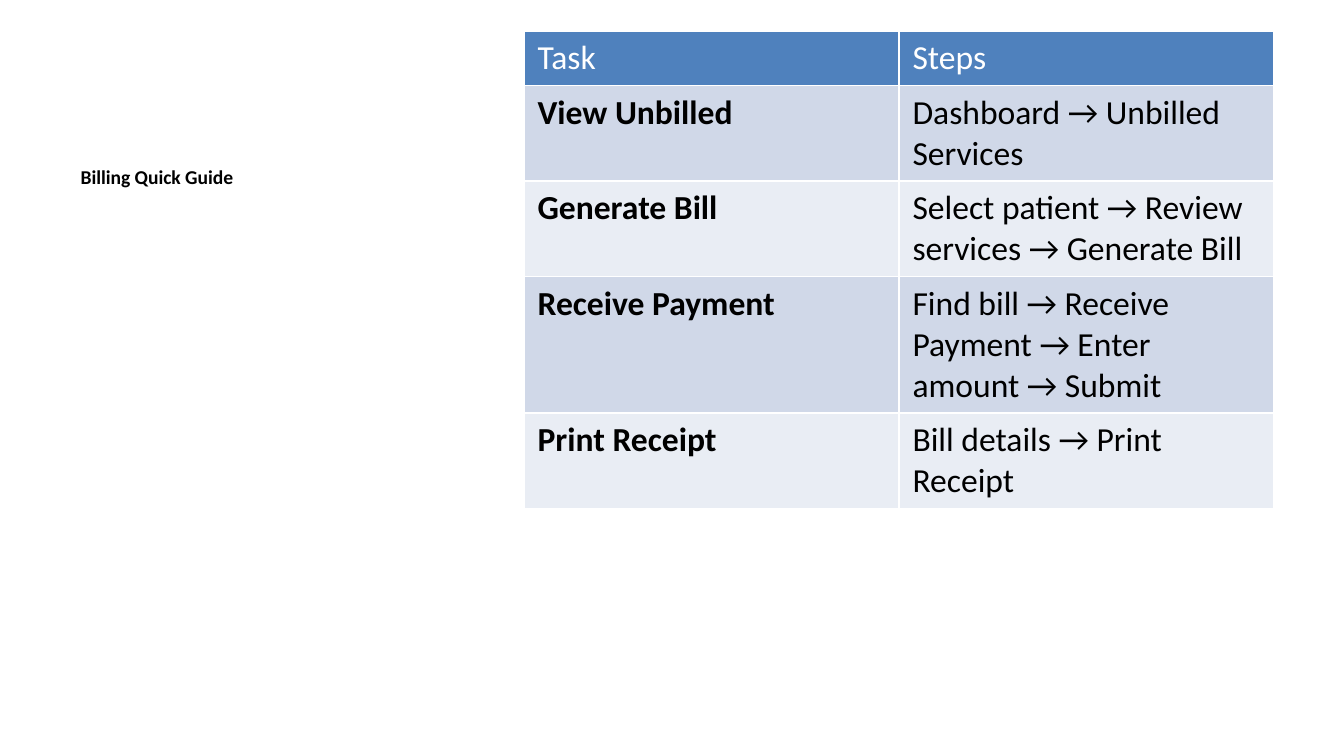
import pptx
import pptx.dml.color
import pptx.enum.text
import pptx.oxml
import pptx.oxml.ns
import pptx.util
from pptx.util import Inches

COLORS = {
    "header": "4F81BD",
    "band_dark": "D0D8E8",
    "band_light": "E9EDF4",
    "rule": "FFFFFF",
    "header_text": "FFFFFF",
    "text": "000000",
}
GUIDE = [
    ("Task", "Steps"),
    ("View Unbilled", "Dashboard → Unbilled Services"),
    ("Generate Bill", "Select patient → Review services → Generate Bill"),
    ("Receive Payment", "Find bill → Receive Payment → Enter amount → Submit"),
    ("Print Receipt", "Bill details → Print Receipt"),
]
ROW_HEIGHTS = [0.4, 0.71, 0.71, 1.01, 0.71]


def rgb(name):
    """Return the named palette colour."""
    return pptx.dml.color.RGBColor.from_string(COLORS[name])


def write_text(frame, text, size=18, color="text", bold=False):
    """Fill a text frame with one left-aligned, formatted paragraph."""
    paragraph = frame.paragraphs[0]
    paragraph.alignment = pptx.enum.text.PP_ALIGN.LEFT
    run = paragraph.add_run()
    run.text = text
    run.font.name = "Calibri"
    run.font.size = pptx.util.Pt(size)
    run.font.bold = bold
    run.font.color.rgb = rgb(color)


def format_cell(cell, fill):
    """Give a cell thin white rules and a solid fill."""
    properties = cell._tc.get_or_add_tcPr()
    for side in "LRTB":
        properties.append(pptx.oxml.parse_xml(
            f'<a:ln{side} {pptx.oxml.ns.nsdecls("a")} w="{pptx.util.Pt(1)}">'
            f'<a:solidFill><a:srgbClr val="{COLORS["rule"]}"/></a:solidFill>'
            f'</a:ln{side}>'))
    cell.fill.solid()
    cell.fill.fore_color.rgb = rgb(fill)


def place_title(slide, left, top, width, height):
    """Place the guide's title at the top left of its box."""
    title = slide.shapes.title
    title.left, title.top = Inches(left), Inches(top)
    title.width, title.height = Inches(width), Inches(height)
    frame = title.text_frame
    frame.word_wrap = True
    frame.auto_size = pptx.enum.text.MSO_AUTO_SIZE.NONE
    frame.vertical_anchor = pptx.enum.text.MSO_ANCHOR.TOP
    write_text(frame, "Billing Quick Guide", size=10.5, bold=True)


def place_guide(slide, left, top, width):
    """Place the table of billing tasks and their steps."""
    guide = slide.shapes.add_table(
        len(GUIDE), len(GUIDE[0]), Inches(left), Inches(top),
        Inches(width), Inches(sum(ROW_HEIGHTS))).table
    for row, entry in enumerate(GUIDE):
        guide.rows[row].height = Inches(ROW_HEIGHTS[row])
        header = row == 0
        band = "band_dark" if row % 2 else "band_light"
        for column, text in enumerate(entry):
            cell = guide.cell(row, column)
            format_cell(cell, "header" if header else band)
            write_text(cell.text_frame, text,
                       color="header_text" if header else "text",
                       bold=column == 0 and not header)


def main():
    """Build and save the billing guide slide."""
    deck = pptx.Presentation()
    deck.slide_width = Inches(10)
    deck.slide_height = deck.slide_width * 9 // 16
    slide = deck.slides.add_slide(deck.slide_layouts.get_by_name("Title Only"))
    place_title(slide, 0.5, 1.18, 3.29, 3.85)
    place_guide(slide, 3.9, 0.23, 5.58)
    deck.save("out.pptx")


if __name__ == "__main__":
    main()
